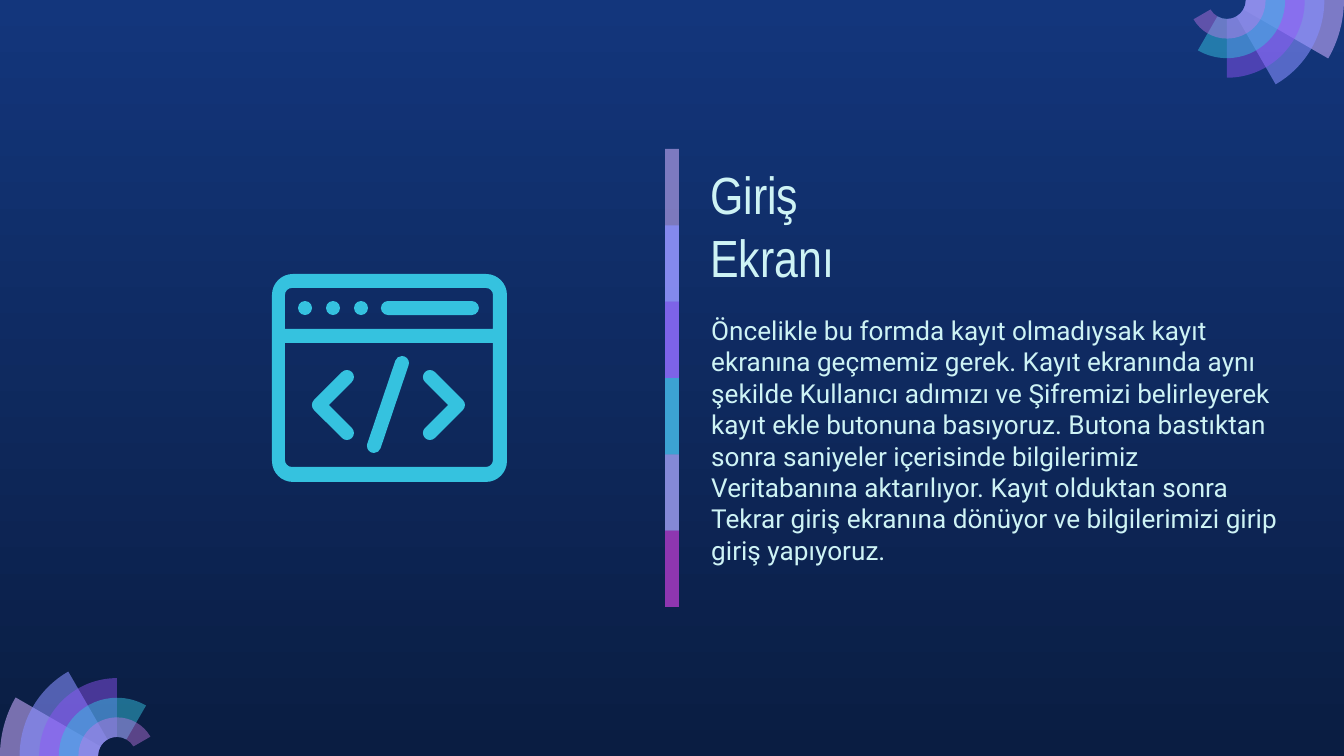
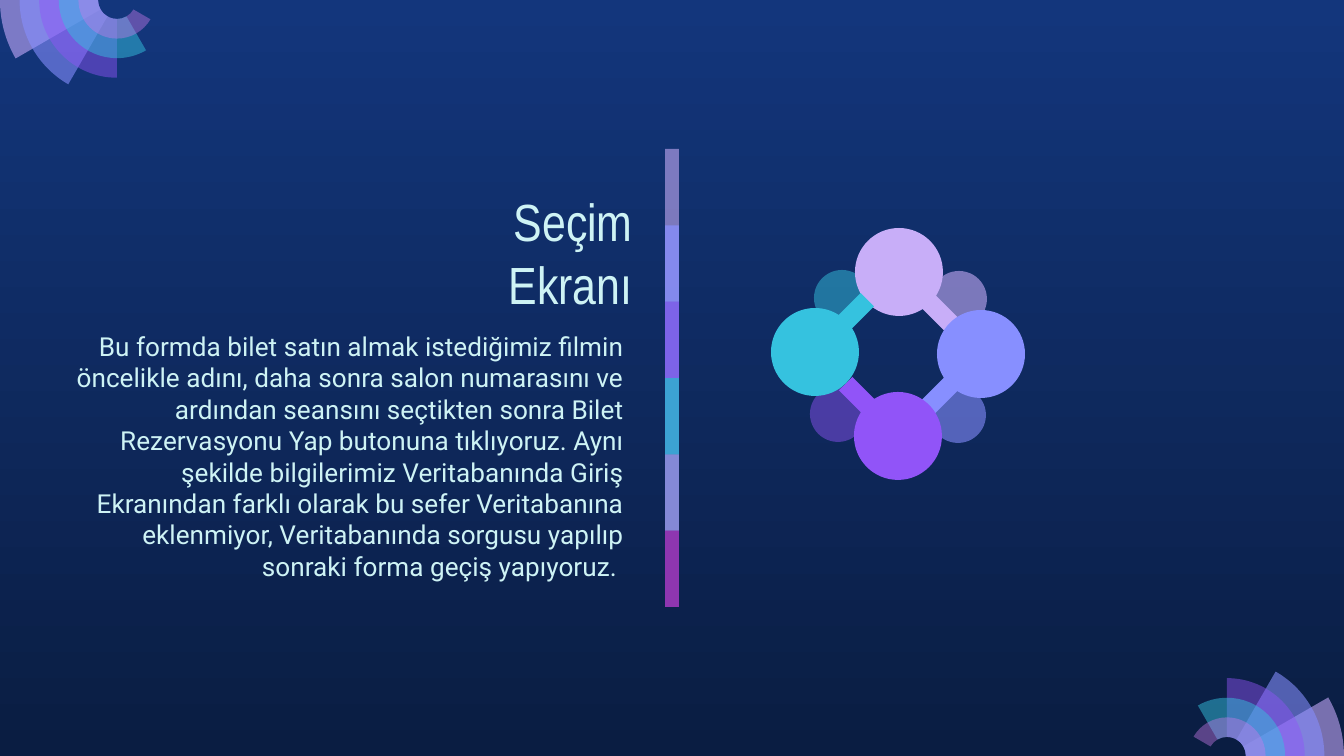
from math import asin, ceil, cos, degrees, floor, radians, sin, tan

from pptx import Presentation
from pptx.dml.color import RGBColor
from pptx.enum.shapes import MSO_SHAPE
from pptx.enum.text import MSO_ANCHOR, MSO_AUTO_SIZE, PP_ALIGN
from pptx.oxml.ns import qn
from pptx.oxml.xmlchemy import OxmlElement
from pptx.util import Inches, Pt

RECTANGLE, OVAL, PILL = MSO_SHAPE.RECTANGLE, MSO_SHAPE.OVAL, MSO_SHAPE.ROUNDED_RECTANGLE
LEFT, RIGHT = PP_ALIGN.LEFT, PP_ALIGN.RIGHT
TOP, BOTTOM = MSO_ANCHOR.TOP, MSO_ANCHOR.BOTTOM

NAVY_LIGHT = RGBColor(0x13, 0x36, 0x7C)
NAVY_DARK = RGBColor(0x0A, 0x1D, 0x42)
ICE = RGBColor(0xCE, 0xF3, 0xF5)
LILAC = RGBColor(0xC8, 0xAE, 0xF8)
PALE_LILAC = RGBColor(0xC8, 0xAC, 0xFD)
PERIWINKLE = RGBColor(0x87, 0x8F, 0xFF)
VIOLET = RGBColor(0x91, 0x54, 0xF8)
CYAN = RGBColor(0x35, 0xC2, 0xDF)
ORCHID = RGBColor(0xCA, 0x7B, 0xEB)
MAGENTA = RGBColor(0x97, 0x2C, 0xB4)

WIDTH, HEIGHT = 1344, 756
SCALE = Inches(10) / WIDTH
TITLE_FONT, BODY_FONT = "Arial Narrow", "Roboto"

BAR_LEFT, BAR_TOP, BAR_WIDTH, BAR_HEIGHT = 665, 149, 14, 458
BAR_COLORS = [(LILAC, 59), (PERIWINKLE, 74), (VIOLET, 53),
              (CYAN, 76), (ORCHID, 56), (MAGENTA, 74)]

FAN_RADIUS, FAN_HOLE = 117, 19
FAN_COLORS = [(PALE_LILAC, 58), (PERIWINKLE, 58), (VIOLET, 46), (CYAN, 49), (ORCHID, 42)]
FANS = {
    "bottom left": (FAN_RADIUS, HEIGHT, 180, 1),
    "top right": (WIDTH - FAN_RADIUS, 0, 0, 1),
    "bottom right": (WIDTH - FAN_RADIUS, HEIGHT, 0, -1),
    "top left": (FAN_RADIUS, 0, 180, -1),
}

MOLECULE_RADIUS, STEM_LENGTH, STEM_HALF, SATELLITE_RADIUS = 44, 74, 9.5, 28
SATELLITES = [(842, 298, CYAN, 49), (959, 299, LILAC, 59),
              (958, 415, PERIWINKLE, 58), (838, 414, VIOLET, 46)]
MOLECULES = [(899, 272, LILAC), (981, 354, PERIWINKLE), (898, 436, VIOLET), (815, 352, CYAN)]

SLIDES = [
    {
        "title": "Giriş \vEkranı",
        "body": "Öncelikle bu formda kayıt olmadıysak kayıt ekranına geçmemiz gerek. "
                "Kayıt ekranında aynı şekilde Kullanıcı adımızı ve Şifremizi belirleyerek "
                "kayıt ekle butonuna basıyoruz. Butona bastıktan sonra saniyeler içerisinde "
                "bilgilerimiz Veritabanına aktarılıyor. Kayıt olduktan sonra Tekrar giriş "
                "ekranına dönüyor ve bilgilerimizi girip giriş yapıyoruz.",
        "title_box": (697, 159, 280, 142),
        "body_box": (698, 301, 604, 265),
        "align": LEFT,
        "fans": ["bottom left", "top right"],
        "icon": "window",
    },
    {
        "title": "Seçim Ekranı",
        "body": "Bu formda bilet satın almak istediğimiz filmin öncelikle adını, daha sonra "
                "salon numarasını ve ardından seansını seçtikten sonra Bilet Rezervasyonu Yap "
                "butonuna tıklıyoruz. Aynı şekilde bilgilerimiz Veritabanında Giriş Ekranından "
                "farklı olarak bu sefer Veritabanına eklenmiyor, Veritabanında sorgusu yapılıp "
                "sonraki forma geçiş yapıyoruz. ",
        "title_box": (384, 186, 262, 142),
        "body_box": (58, 317, 579, 265),
        "align": RIGHT,
        "fans": ["bottom right", "top left"],
        "icon": "molecules",
    },
]


def px(*lengths):
    return [round(length * SCALE) for length in lengths]


def paint(shape, color, opacity=100):
    shape.shadow.inherit = False
    shape.line.fill.background()
    shape.fill.solid()
    shape.fill.fore_color.rgb = color
    if opacity < 100:
        alpha = OxmlElement("a:alpha")
        alpha.set("val", str(opacity * 1000))
        shape._element.spPr.find(".//" + qn("a:srgbClr")).append(alpha)
    return shape


def add_preset(shapes, kind, box, color, opacity=100):
    return paint(shapes.add_shape(kind, *px(*box)), color, opacity)


def curve_lines(shape, pieces):
    lines = iter(list(shape._element.spPr.iter(qn("a:lnTo"))))
    for piece in pieces:
        first, *others = [next(lines) for _ in range(len(piece) // 2)]
        if others:
            curve = OxmlElement("a:cubicBezTo")
            first.addprevious(curve)
            for line in (first, *others):
                curve.append(line[0])
                line.getparent().remove(line)


def add_outline(shapes, contours, color, opacity=100):
    builder = None
    for start, *pieces in contours:
        if builder is None:
            builder = shapes.build_freeform(*px(*start), scale=1.0)
        else:
            builder.move_to(*px(*start))
        points = [px(*piece[i:i + 2]) for piece in pieces for i in range(0, len(piece), 2)]
        builder.add_line_segments(points, close=False)
        builder.add_line_segments([], close=True)
    shape = builder.convert_to_shape()
    curve_lines(shape, [piece for contour in contours for piece in contour[1:]])
    return paint(shape, color, opacity)


def arc(x, y, radius, start, end):
    low, high = sorted((start, end))
    corners = [90 * n for n in range(floor(low / 90) + 1, ceil(high / 90))]
    stops = [low, *corners, high]
    if end < start:
        stops.reverse()
    pieces = [(x + radius * cos(radians(start)), y + radius * sin(radians(start)))]
    for a, b in zip(stops, stops[1:]):
        a, b = radians(a), radians(b)
        pull = 4 / 3 * tan((b - a) / 4)
        pieces.append((x + radius * (cos(a) - pull * sin(a)), y + radius * (sin(a) + pull * cos(a)),
                       x + radius * (cos(b) + pull * sin(b)), y + radius * (sin(b) - pull * cos(b)),
                       x + radius * cos(b), y + radius * sin(b)))
    return pieces


def rounded(left, top, right, bottom, top_radius, bottom_radius):
    corners = [(left, top, 1, 1, top_radius, 180), (right, top, -1, 1, top_radius, 270),
               (right, bottom, -1, -1, bottom_radius, 0), (left, bottom, 1, -1, bottom_radius, 90)]
    pieces = []
    for x, y, dx, dy, r, start in corners:
        pieces += arc(x + dx * r, y + dy * r, r, start, start + 90) if r else [(x, y)]
    return pieces


def chevron(apex_x, apex_y, side):
    reach, half = 28, 7
    tip_x = apex_x - side * reach
    ends = [(tip_x, apex_y - reach, 135, 315), (apex_x, apex_y, -45, 45),
            (tip_x, apex_y + reach, 45, 225)]
    pieces = []
    for x, y, start, end in ends:
        if side < 0:
            start, end = 180 - start, 180 - end
        pieces += arc(x, y, half, start, end)
    return pieces + [(apex_x - side * half * 2 ** 0.5, apex_y)]


def add_window(slide):
    shapes = slide.shapes.add_group_shape().shapes
    frame = [rounded(272, 274, 507, 482, 21, 21),
             rounded(285, 288, 493, 329, 7, 0),
             rounded(285, 343, 493, 467, 0, 7)]
    add_outline(shapes, frame, CYAN)
    for i in range(3):
        add_preset(shapes, OVAL, (298 + 28 * i, 301, 14, 14), CYAN)
    address = add_preset(shapes, PILL, (381, 301, 98, 14), CYAN)
    address.adjustments[0] = 0.5
    slash = arc(402, 363, 7, -162, 18) + arc(374, 446, 7, 18, 198)
    for contour in (chevron(458, 405, 1), chevron(319, 405, -1), slash):
        add_outline(shapes, [contour], CYAN)


def add_molecules(slide):
    r = SATELLITE_RADIUS
    for x, y, color, opacity in SATELLITES:
        add_preset(slide.shapes, OVAL, (x - r, y - r, 2 * r, 2 * r), color, opacity)
    gap = degrees(asin(STEM_HALF / MOLECULE_RADIUS))
    for i, (x, y, color) in enumerate(MOLECULES):
        angle = 45 + 90 * i
        c, s = cos(radians(angle)), sin(radians(angle))
        stem = [(x + STEM_LENGTH * c - side * s, y + STEM_LENGTH * s + side * c)
                for side in (-STEM_HALF, STEM_HALF)]
        disc = arc(x, y, MOLECULE_RADIUS, angle + gap, angle + 360 - gap)
        add_outline(slide.shapes, [disc + stem], color)


def move_bar_to_layout(slide):
    group = slide.shapes.add_group_shape()
    step = BAR_HEIGHT / len(BAR_COLORS)
    for i, (color, opacity) in enumerate(BAR_COLORS):
        height = min(2, len(BAR_COLORS) - i) * step
        add_preset(group.shapes, RECTANGLE, (BAR_LEFT, BAR_TOP + i * step, BAR_WIDTH, height),
                   color, opacity)
    for number, properties in enumerate(group._element.iter(qn("p:cNvPr")), 100):
        properties.set("id", str(number))
    slide.slide_layout._element.cSld.spTree.append(group._element)


def add_fan(slide, x, y, start, turn):
    shapes = slide.shapes.add_group_shape().shapes
    ring = (FAN_RADIUS - FAN_HOLE) / len(FAN_COLORS)
    for i, (color, opacity) in enumerate(FAN_COLORS):
        end = start + turn * 30 * (i + 1)
        wedge = arc(x, y, FAN_RADIUS - i * ring, start, end) + arc(x, y, FAN_HOLE, end, start)
        add_outline(shapes, [wedge], color, opacity)


def write(shape, box, text, font, size, align, anchor):
    shape.left, shape.top, shape.width, shape.height = px(*box)
    frame = shape.text_frame
    frame.word_wrap = True
    frame.auto_size = MSO_AUTO_SIZE.NONE
    frame.vertical_anchor = anchor
    frame.margin_left = frame.margin_right = Inches(0.1)
    frame.margin_top = frame.margin_bottom = Inches(0.1)
    paragraph = frame.paragraphs[0]
    paragraph.text = text
    paragraph.alignment = align
    paragraph.font.name = font
    paragraph.font.size = Pt(size)
    paragraph.font.color.rgb = ICE


def set_background(master):
    fill = master.background.fill
    fill.gradient()
    fill.gradient_angle = 270
    for stop, color in zip(fill.gradient_stops, (NAVY_LIGHT, NAVY_DARK)):
        stop.color.rgb = color


def main():
    icons = {"window": add_window, "molecules": add_molecules}
    presentation = Presentation()
    presentation.slide_width, presentation.slide_height = px(WIDTH, HEIGHT)
    set_background(presentation.slide_master)
    for content in SLIDES:
        slide = presentation.slides.add_slide(presentation.slide_layouts[5])
        write(slide.shapes.title, content["title_box"], content["title"],
              TITLE_FONT, 28, content["align"], BOTTOM)
        body = slide.shapes.add_textbox(*px(*content["body_box"]))
        write(body, content["body_box"], content["body"],
              BODY_FONT, 14, content["align"], TOP)
        icons[content["icon"]](slide)
        for corner in content["fans"]:
            add_fan(slide, *FANS[corner])
    move_bar_to_layout(presentation.slides[0])
    presentation.save("out.pptx")


if __name__ == "__main__":
    main()
